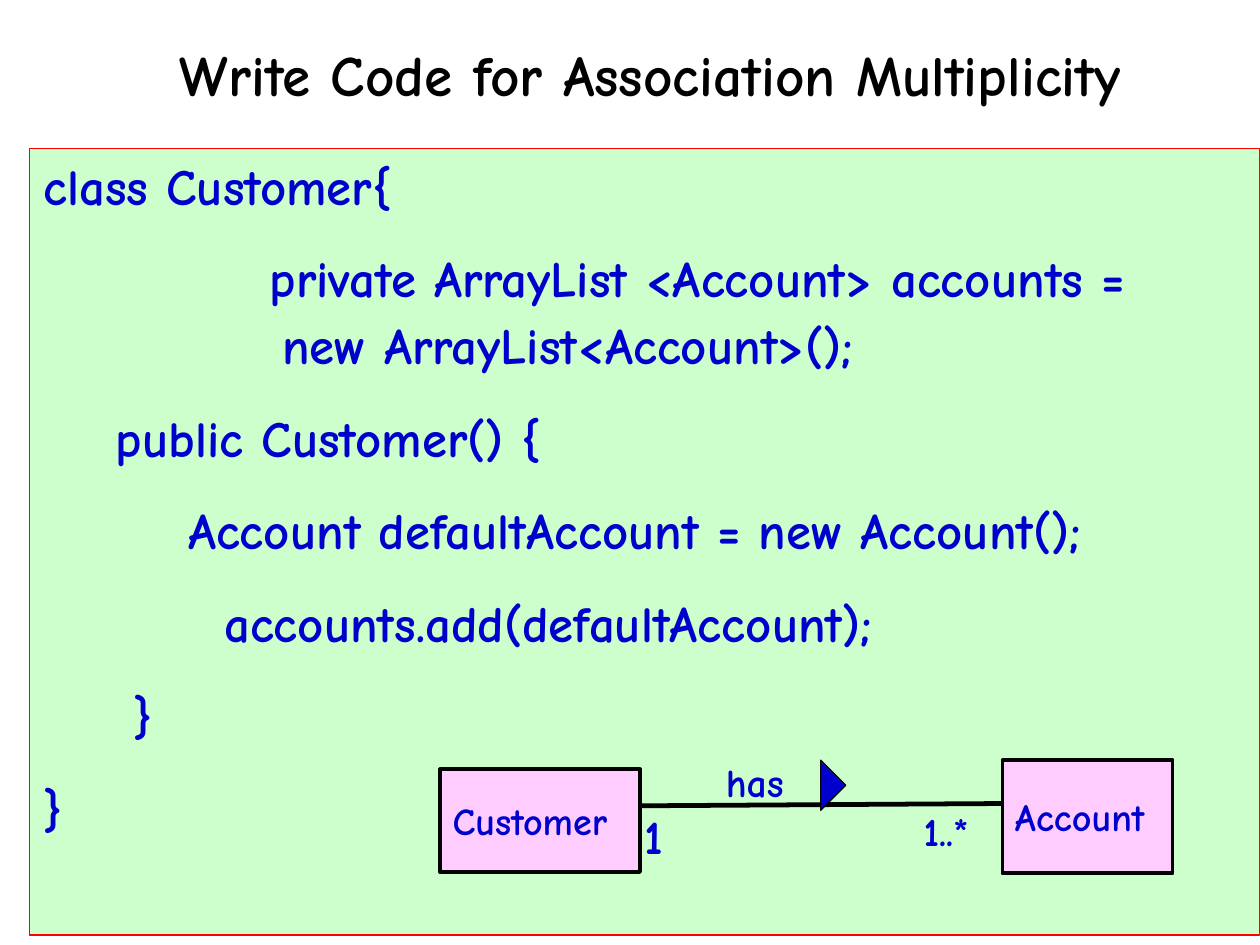
from lxml.etree import SubElement
from pptx import Presentation
from pptx.dml.color import RGBColor
from pptx.enum.shapes import MSO_CONNECTOR, MSO_SHAPE
from pptx.enum.text import MSO_ANCHOR, PP_ALIGN
from pptx.oxml.ns import qn
from pptx.util import Inches, Pt

COLORS = {"ink": "000000", "blue": "0000CC", "green": "CCFFCC", "pink": "FFCCFF", "red": "FF0000"}
FONT = "Comic Neue"


def write(shape, text, size=24, color="blue", align=PP_ALIGN.LEFT, anchor=MSO_ANCHOR.TOP,
          pad=(0, 0), wrap=True, spacing=1.0, before=0, after=0, indents=None):
    frame = shape.text_frame
    frame.word_wrap = wrap
    frame.vertical_anchor = anchor
    frame.margin_left = frame.margin_right = Inches(pad[0])
    frame.margin_top = frame.margin_bottom = Inches(pad[1])
    for row, line in enumerate(text.split("\n")):
        para = frame.add_paragraph() if row else frame.paragraphs[0]
        para.text = line
        para.alignment = align
        para.line_spacing = spacing
        para.space_before = Pt(before if row else 0)
        para.space_after = Pt(after)
        if indents:
            left, first = indents.get(row, indents["base"])
            props = para._p.get_or_add_pPr()
            props.set("marL", str(Inches(left)))
            props.set("indent", str(Inches(first)))
        for run in para.runs:
            run.font.name = FONT
            run.font.size = Pt(size)
            run.font.bold = True
            run.font.color.rgb = RGBColor.from_string(COLORS[color])


def draw(kind, left, top, width, height, fill, line, weight):
    shape = slide.shapes.add_shape(kind, Inches(left), Inches(top), Inches(width), Inches(height))
    shape.shadow.inherit = False
    shape.fill.solid()
    shape.fill.fore_color.rgb = RGBColor.from_string(COLORS[fill])
    shape.line.color.rgb = RGBColor.from_string(COLORS[line])
    shape.line.width = Pt(weight)
    return shape


deck = Presentation()
deck.slide_width = Inches(28 / 2.54)
deck.slide_height = Inches(21 / 2.54)
slide = deck.slides.add_slide(deck.slide_layouts[6])

title = slide.shapes.add_textbox(Inches(0.78), Inches(0), Inches(9.82), Inches(1.37))
write(title, "Write Code for Association Multiplicity", size=36, color="ink",
      align=PP_ALIGN.CENTER, anchor=MSO_ANCHOR.MIDDLE, spacing=0.88)

code = """class Customer{
private ArrayList <Account> accounts =\vnew ArrayList<Account>();
    public Customer() {
        Account defaultAccount = new Account();
          accounts.add(defaultAccount);
     }
}"""
panel = draw(MSO_SHAPE.RECTANGLE, 0.26, 1.3, 10.76, 6.88, "green", "red", 0.75)
write(panel, code, size=32, spacing=1.1, before=2, after=14,
      indents={"base": (0.47, -0.35), 1: (2.21, -0.11)})

for name, left, top, width, height in (
    ("Customer", 3.85, 6.73, 1.75, 0.9),
    ("Account", 8.77, 6.65, 1.49, 0.99),
):
    box = draw(MSO_SHAPE.RECTANGLE, left, top, width, height, "pink", "ink", 2.25)
    write(box, name, anchor=MSO_ANCHOR.MIDDLE, pad=(0.11, 0.06))

link = slide.shapes.add_connector(MSO_CONNECTOR.STRAIGHT, Inches(5.59), Inches(7.05),
                                  Inches(8.77), Inches(7.03))
link.line.color.rgb = RGBColor.from_string(COLORS["ink"])
link.line.width = Pt(3)
SubElement(link._element.spPr, qn("a:effectLst"))

arrow = draw(MSO_SHAPE.ISOSCELES_TRIANGLE, 7.07, 6.76, 0.44, 0.22, "blue", "ink", 0.75)
arrow.rotation = 90

for text, left, top, width, height, size in (
    ("1..*", 8.08, 7.06, 0.45, 0.42, 25),
    ("1", 5.64, 7.06, 0.18, 0.5, 30),
    ("has", 6.35, 6.63, 1.58, 0.42, 25),
):
    label = slide.shapes.add_textbox(Inches(left), Inches(top), Inches(width), Inches(height))
    write(label, text, size=size)

deck.save("out.pptx")
